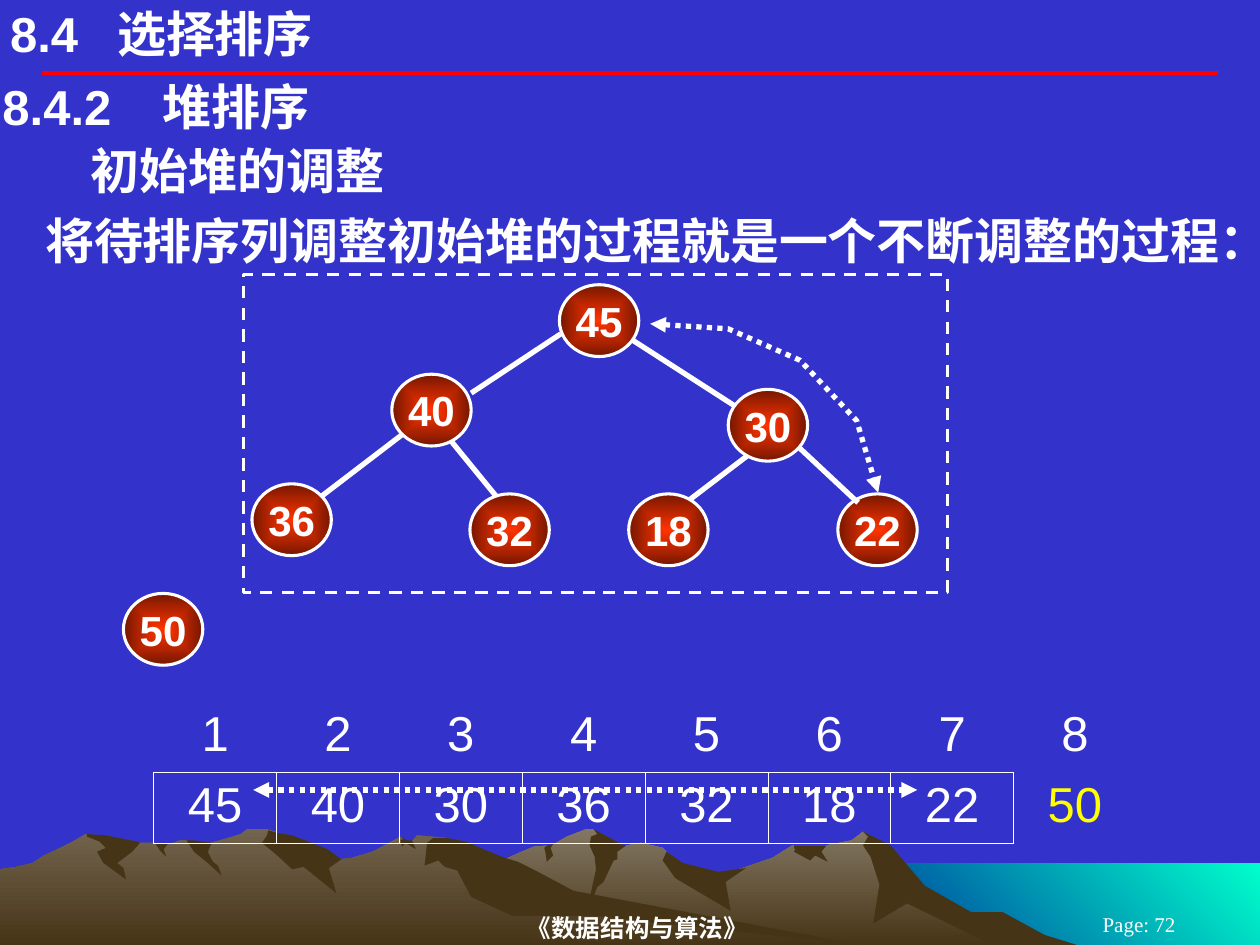
from lxml import etree
from pptx import Presentation
from pptx.dml.color import RGBColor
from pptx.enum.dml import MSO_LINE
from pptx.enum.shapes import MSO_CONNECTOR, MSO_SHAPE
from pptx.enum.text import MSO_ANCHOR, PP_ALIGN
from pptx.oxml.ns import qn
from pptx.util import Inches, Pt

STRAIGHT = MSO_CONNECTOR.STRAIGHT
OVAL, RECT = MSO_SHAPE.OVAL, MSO_SHAPE.RECTANGLE
DASH, DOTS = MSO_LINE.DASH, MSO_LINE.ROUND_DOT
LEFT, CENTER = PP_ALIGN.LEFT, PP_ALIGN.CENTER
TOP, MIDDLE = MSO_ANCHOR.TOP, MSO_ANCHOR.MIDDLE

COLORS = {"sky": "3333CC", "white": "FFFFFF", "yellow": "FFFF00", "rule": "FF0000",
          "node": "FF3300", "node_edge": "751700", "sea": "00FFCC", "deep_sea": "003399",
          "rock": "837763", "near_rock": "72644E", "shade": "463416"}
NO_GRID_STYLE = "{2D5ABB26-0587-4C30-8999-92F81FD0307C}"
NODE_W, NODE_H = 0.63, 0.57

# Landscape outlines in hundredths of an inch
SEA = [(1000, 752), (683, 752), (683, 685), (1000, 685)]
FAR_RANGE = [
    (802, 740), (778, 727), (764, 723), (723, 698), (702, 671), (685, 660), (676, 667),
    (656, 671), (629, 671), (613, 681), (566, 697), (536, 690), (529, 676), (526, 673),
    (509, 669), (486, 673), (474, 661), (471, 658), (465, 658), (450, 664), (438, 671),
    (424, 672), (412, 677), (399, 683), (355, 698), (327, 709), (277, 739), (258, 751),
    (821, 751)]
NEAR_RANGE = [
    (690, 751), (667, 748), (432, 712), (354, 665), (331, 663), (327, 668), (323, 668),
    (318, 664), (296, 676), (279, 681), (271, 682), (260, 676), (236, 681), (223, 663),
    (219, 660), (212, 658), (196, 658), (191, 662), (178, 666), (160, 671), (148, 667),
    (143, 667), (132, 671), (123, 669), (111, 669), (94, 671), (68, 662), (56, 669),
    (46, 674), (35, 679), (26, 685), (14, 688), (0, 690), (0, 751)]
FAR_SHADES = [
    [(796, 724), (771, 724), (734, 703), (707, 671), (685, 660), (689, 664), (685, 671),
     (691, 680), (698, 702), (693, 733), (720, 717), (792, 752), (858, 751), (829, 742)],
    [(471, 658), (474, 662), (469, 664), (468, 671), (472, 680), (473, 690), (465, 727),
     (474, 704), (479, 700), (487, 683), (490, 682), (490, 676), (497, 671), (493, 670)],
    [(529, 676), (526, 683), (536, 697), (580, 723), (576, 700), (592, 689), (570, 692),
     (542, 685)],
    [(650, 671), (630, 671), (631, 675), (630, 676), (643, 683), (647, 679), (657, 684),
     (652, 676), (656, 671)],
    [(433, 677), (432, 673), (434, 671), (439, 670), (437, 673), (439, 679), (434, 684)]]
NEAR_SHADES = [
    [(212, 663), (208, 669), (219, 678), (232, 690), (241, 688), (267, 709), (261, 689),
     (271, 682), (260, 674), (245, 668), (232, 663), (220, 661), (213, 659)],
    [(370, 668), (354, 665), (344, 665), (339, 669), (337, 687), (348, 683), (353, 688),
     (363, 691), (374, 712), (407, 727), (472, 727), (690, 751), (683, 750), (455, 707),
     (427, 692), (411, 684), (401, 681), (386, 675)],
    [(318, 667), (320, 666), (318, 664), (323, 667), (327, 667), (330, 674), (322, 669),
     (319, 672)],
    [(154, 667), (168, 669), (165, 676), (169, 684), (173, 687), (176, 695), (165, 685),
     (154, 676), (148, 667)],
    [(133, 670), (130, 674), (132, 680), (127, 675), (123, 669)],
    [(109, 668), (111, 669), (105, 676), (93, 685), (98, 689), (100, 698), (82, 685),
     (77, 676), (84, 673), (79, 668), (69, 664), (69, 662), (84, 663), (94, 665)]]

# Heap contents: value, left, top
NODES = [(45, 4.44, 2.26), (40, 3.11, 2.97), (36, 2, 3.84), (32, 3.73, 3.92),
         (30, 5.78, 3.09), (18, 4.99, 3.92), (22, 6.65, 3.92), (50, 0.98, 4.71)]
EDGES = [(3.58, 3.5, 3.98, 3.99), (3.27, 3.39, 2.55, 3.94), (4.45, 2.65, 3.74, 3.12),
         (4.99, 2.68, 5.86, 3.24), (6.02, 3.55, 5.35, 4.06)]
LAST_EDGE = (6.34, 3.55, 6.81, 3.99)
ARRAY = [45, 40, 30, 36, 32, 18, 22, 50]
SWAP_CURVE = [(516, 257), (578, 261), (635, 286), (680, 334), (697, 391)]


def rgb(name):
    return RGBColor.from_string(COLORS[name])


def set_gradient(sp, first, last, angle):
    sp.fill.gradient()
    for stop, name in zip(sp.fill.gradient_stops, (first, last)):
        stop.color.rgb = rgb(name)
    sp.fill.gradient_angle = angle


def set_line(line, color, width, dash=None, arrows=False):
    line.color.rgb = rgb(color)
    line.width = Pt(width)
    if dash:
        line.dash_style = dash
    if arrows:
        ln = line._get_or_add_ln()
        for tag in ("a:headEnd", "a:tailEnd"):
            etree.SubElement(ln, qn(tag), type="triangle")


def add_run(p, text, size, color="white", bold=False, font="Arial"):
    r = p.add_run()
    r.text = text
    r.font.size, r.font.bold, r.font.name = Pt(size), bold, font
    r.font.color.rgb = rgb(color)


def set_text(sp, text, size=28, inset=(0, 0), align=LEFT, anchor=TOP, bold=True,
             font="Arial", tab=None, indent=None, first=None):
    tf = sp.text_frame
    tf.word_wrap, tf.vertical_anchor = True, anchor
    tf.margin_left = tf.margin_right = Inches(inset[0])
    tf.margin_top = tf.margin_bottom = Inches(inset[1])
    p = tf.paragraphs[0]
    p.alignment = align
    pPr = p._p.get_or_add_pPr()
    if tab:
        tabs = etree.SubElement(pPr, qn("a:tabLst"))
        etree.SubElement(tabs, qn("a:tab"), pos=str(Inches(tab)), algn="l")
    if indent:
        pPr.set("marL", str(Inches(indent)))
    if first:
        pPr.set("indent", str(Inches(first)))
    add_run(p, text, size, bold=bold, font=font)


def add_text(s, box, text, **style):
    set_text(s.shapes.add_textbox(*map(Inches, box)), text, **style)


def add_line(s, ends, color="white", width=3, **style):
    sp = s.shapes.add_connector(STRAIGHT, *map(Inches, ends))
    set_line(sp.line, color, width, **style)
    etree.SubElement(sp._element.spPr, qn("a:effectLst"))


def add_outline(s, points, close=True):
    builder = s.shapes.build_freeform(*points[0], scale=Inches(0.01))
    builder.add_line_segments(points[1:], close=close)
    sp = builder.convert_to_shape()
    sp.shadow.inherit = False
    sp.line.fill.background()
    return sp


def add_shades(s, outlines):
    for points in outlines:
        sp = add_outline(s, points)
        sp.fill.solid()
        sp.fill.fore_color.rgb = rgb("shade")


def add_landscape(s):
    set_gradient(add_outline(s, SEA), "sea", "deep_sea", 225)
    set_gradient(add_outline(s, FAR_RANGE), "rock", "shade", 270)
    add_shades(s, FAR_SHADES)
    set_gradient(add_outline(s, NEAR_RANGE), "near_rock", "shade", 270)
    add_shades(s, NEAR_SHADES)


def add_node(s, value, left, top):
    sp = s.shapes.add_shape(OVAL, *map(Inches, (left, top, NODE_W, NODE_H)))
    sp.shadow.inherit = False
    set_gradient(sp, "node", "node_edge", 0)
    # Radiate from the centre instead of running straight
    grad = sp._element.spPr.find(qn("a:gradFill"))
    grad.remove(grad.find(qn("a:lin")))
    radial = etree.SubElement(grad, qn("a:path"), path="rect")
    etree.SubElement(radial, qn("a:fillToRect"), {side: "50000" for side in "ltrb"})
    set_line(sp.line, "white", 1.75)
    set_text(sp, str(value), size=24, align=CENTER, anchor=MIDDLE)


def add_borders(cell):
    tcPr = cell._tc.get_or_add_tcPr()
    for i, side in enumerate("LRTB"):
        ln = etree.Element(qn("a:ln" + side), w=str(Pt(0.45)))
        fill = etree.SubElement(ln, qn("a:solidFill"))
        etree.SubElement(fill, qn("a:srgbClr"), val=COLORS["white"])
        tcPr.insert(i, ln)


def add_array(s):
    n = len(ARRAY)
    box = map(Inches, (1.22, 5.56, 7.8, 1.13))
    table = s.shapes.add_table(2, n, *box).table
    table.first_row = table.horz_banding = False
    table._tbl.tblPr.find(qn("a:tableStyleId")).text = NO_GRID_STYLE
    table.rows[0].height, table.rows[1].height = Inches(0.57), Inches(0.56)
    for row, values in enumerate((range(1, n + 1), ARRAY)):
        for col, value in enumerate(values):
            cell = table.cell(row, col)
            cell.fill.background()
            p = cell.text_frame.paragraphs[0]
            p.alignment = CENTER
            is_sorted = row == 1 and col == n - 1
            add_run(p, str(value), 28, "yellow" if is_sorted else "white")
            if row == 1 and not is_sorted:
                add_borders(cell)


def main():
    prs = Presentation()
    prs.slide_width, prs.slide_height = Inches(10), Inches(7.5)
    s = prs.slides.add_slide(prs.slide_layouts[5])
    s.background.fill.solid()
    s.background.fill.fore_color.rgb = rgb("sky")

    # Backdrop and footer
    add_landscape(s)
    add_line(s, (0.33, 0.58, 9.67, 0.58), "rule", 2.25)
    footer = {"align": CENTER, "anchor": MIDDLE, "font": "Times New Roman"}
    add_text(s, (2.03, 7.22, 6.06, 0.28), "《数据结构与算法》", size=14, **footer)
    add_text(s, (8.25, 7.25, 1.58, 0.17), "Page: 72", size=12, bold=False, **footer)

    # Headings
    title = s.shapes.title
    title.left, title.top, title.width, title.height = map(Inches, (0.08, 0.03, 6.5, 0.47))
    set_text(title, "8.4\t选择排序", tab=0.85)
    add_text(s, (0, 0.6, 10, 0.49), "8.4.2\t堆排序", inset=(0.02, 0.01), tab=1.27)
    add_text(s, (0, 1.07, 9.96, 0.57), "初始堆的调整", inset=(0.1, 0.05), indent=0.62)
    add_text(s, (0, 1.62, 10, 1.04), "将待排序列调整初始堆的过程就是一个不断调整的过程：",
             inset=(0.1, 0.05), first=0.26)

    # Heap tree
    for edge in EDGES:
        add_line(s, edge)
    for node in NODES:
        add_node(s, *node)
    add_line(s, LAST_EDGE)

    # Array, heap frame and swap arrows
    add_array(s)
    frame = s.shapes.add_shape(RECT, *map(Inches, (1.93, 2.18, 5.59, 2.52)))
    frame.shadow.inherit = False
    frame.fill.background()
    set_line(frame.line, "white", 1.75, DASH)
    add_line(s, (2.01, 6.27, 7.28, 6.27), dash=DOTS, arrows=True)
    curve = add_outline(s, SWAP_CURVE, close=False)
    curve.fill.background()
    set_line(curve.line, "white", 3, DOTS, arrows=True)

    prs.save("out.pptx")


if __name__ == "__main__":
    main()
